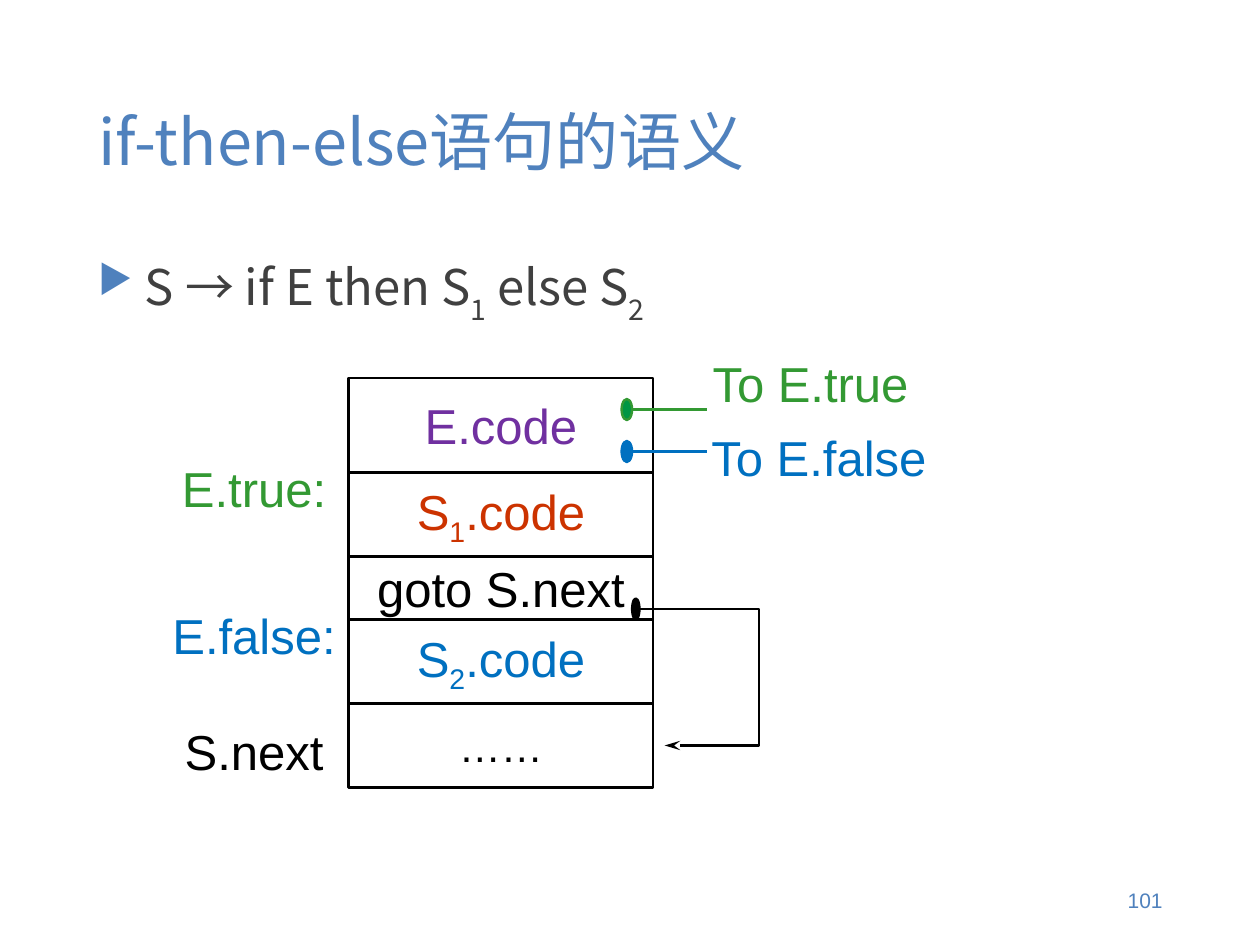
from dataclasses import dataclass

from lxml.etree import SubElement
from pptx import Presentation
from pptx.dml.color import RGBColor
from pptx.enum.shapes import MSO_CONNECTOR as Connector
from pptx.enum.shapes import MSO_SHAPE as Shape
from pptx.enum.text import MSO_ANCHOR as Anchor
from pptx.enum.text import MSO_AUTO_SIZE as AutoSize
from pptx.enum.text import PP_ALIGN as Align
from pptx.oxml.ns import qn
from pptx.util import Cm, Emu, Inches, Pt

SLIDE_WIDTH = Cm(28)
SLIDE_HEIGHT = Cm(21)
COLUMNS, ROWS = 120, 90

BLACK = RGBColor(0x00, 0x00, 0x00)
GREY = RGBColor(0x40, 0x40, 0x40)
ACCENT = RGBColor(0x4F, 0x81, 0xBD)
PURPLE = RGBColor(0x70, 0x30, 0xA0)
RED = RGBColor(0xCC, 0x33, 0x00)
BLUE = RGBColor(0x00, 0x70, 0xC0)
GREEN = RGBColor(0x33, 0x99, 0x33)
DARK_GREEN = RGBColor(0x00, 0x96, 0x44)

LATIN_FONT, CHINESE_FONT, BULLET_FONT = "Arial", "Noto Sans CJK SC", "OpenSymbol"
TEXT_SIZE = 30.9
LINE_WIDTH = Pt(1.5)

STACK_LEFT, STACK_TOP, STACK_WIDTH = 33.2, 36, 29
LABEL_WIDTH, LABEL_HEIGHT = 18, 7
LABEL_LEFT = STACK_LEFT - LABEL_WIDTH
DOT_HEIGHT = 2


@dataclass(frozen=True)
class Area:
    """A rectangle in grid columns and rows."""
    left: float
    top: float
    width: float
    height: float

    def lengths(self) -> tuple:
        return (column(self.left), row(self.top),
                column(self.width), row(self.height))


@dataclass(frozen=True)
class Words:
    """Text whose parts between underscores are subscripts."""
    text: str
    color: RGBColor
    size: float = TEXT_SIZE
    font: str = LATIN_FONT
    subscript: int = -25


@dataclass(frozen=True)
class CodeBlock:
    words: Words
    height: float


@dataclass(frozen=True)
class Label:
    words: Words
    left: float
    top: float


@dataclass(frozen=True)
class Jump:
    """A dot with a straight line leading out of the code stack."""
    top: float
    fill: RGBColor
    line: RGBColor


CODE_BLOCKS = (
    CodeBlock(Words("E.code", PURPLE), 9),
    CodeBlock(Words("S_1_.code", RED), 8),
    CodeBlock(Words("goto S.next", BLACK), 6),
    CodeBlock(Words("S_2_.code", BLUE), 8),
    CodeBlock(Words("……", BLACK, size=26.5), 8),
)
LABELS = (
    Label(Words("To E.true", GREEN), 68.2, 33),
    Label(Words("To E.false", BLUE), 69, 40),
    Label(Words("E.true:", GREEN), LABEL_LEFT, 43),
    Label(Words("E.false:", BLUE), LABEL_LEFT, 57),
    Label(Words("S.next", BLACK), LABEL_LEFT, 68),
)
JUMPS = (Jump(38, DARK_GREEN, GREEN), Jump(42, BLUE, BLUE))


def column(count: float) -> Emu:
    return Emu(round(SLIDE_WIDTH * count / COLUMNS))


def row(count: float) -> Emu:
    return Emu(round(SLIDE_HEIGHT * count / ROWS))


def add_words(paragraph, words: Words) -> None:
    for index, part in enumerate(words.text.split("_")):
        if not part:
            continue
        run = paragraph.add_run()
        run.text = part
        run.font.size = Pt(words.size)
        run.font.name = words.font
        run.font.color.rgb = words.color
        properties = run._r.get_or_add_rPr()
        SubElement(properties, qn("a:ea")).set("typeface", words.font)
        if index % 2:
            properties.set("baseline", str(words.subscript * 1000))


def write(shape, words: Words, align=Align.CENTER, anchor=Anchor.MIDDLE,
          wrap: bool = False) -> None:
    frame = shape.text_frame
    frame.auto_size = AutoSize.NONE
    frame.word_wrap = wrap
    frame.vertical_anchor = anchor
    frame.paragraphs[0].alignment = align
    add_words(frame.paragraphs[0], words)


def style_line(shape, color: RGBColor) -> None:
    shape.line.color.rgb = color
    shape.line.width = LINE_WIDTH


def place(shape, area: Area) -> None:
    shape.left, shape.top, shape.width, shape.height = area.lengths()


def add_bullet(paragraph) -> None:
    properties = paragraph._p.get_or_add_pPr()
    properties.set("marL", str(Inches(0.41)))
    properties.set("indent", str(-Inches(0.41)))
    color = SubElement(properties, qn("a:buClr"))
    SubElement(color, qn("a:srgbClr")).set("val", str(ACCENT))
    SubElement(properties, qn("a:buSzPct")).set("val", "80000")
    SubElement(properties, qn("a:buFont")).set("typeface", BULLET_FONT)
    SubElement(properties, qn("a:buChar")).set("char", "▶")
    paragraph.line_spacing = 0.9
    paragraph.space_before = Pt(0)


def add_outlined(shapes, kind, area: Area, line: RGBColor, fill=None):
    shape = shapes.add_shape(kind, *area.lengths())
    shape.shadow.inherit = False
    style_line(shape, line)
    if fill is None:
        shape.fill.background()
    else:
        shape.fill.solid()
        shape.fill.fore_color.rgb = fill
    return shape


def add_code_stack(shapes) -> None:
    top = STACK_TOP
    for block in CODE_BLOCKS:
        area = Area(STACK_LEFT, top, STACK_WIDTH, block.height)
        write(add_outlined(shapes, Shape.RECTANGLE, area, BLACK), block.words)
        top += block.height


def add_jump(shapes, jump: Jump) -> None:
    middle = row(jump.top + DOT_HEIGHT / 2)
    line = shapes.add_connector(Connector.STRAIGHT, column(60.2), middle,
                                column(67.3), middle)
    style_line(line, jump.line)
    SubElement(line._element.spPr, qn("a:effectLst"))
    add_outlined(shapes, Shape.OVAL, Area(59.2, jump.top, 1, DOT_HEIGHT),
                 jump.line, jump.fill)


def add_goto_arrow(shapes) -> None:
    start, *corners = [(column(x), row(y)) for x, y in
                       ((60.9, 58), (72.3, 58), (72.3, 71), (63.3, 71))]
    builder = shapes.build_freeform(*start)
    builder.add_line_segments(corners, close=False)
    arrow = builder.convert_to_shape()
    arrow.shadow.inherit = False
    arrow.fill.background()
    style_line(arrow, BLACK)
    head = SubElement(arrow.line._get_or_add_ln(), qn("a:tailEnd"))
    head.set("type", "stealth")
    head.set("len", "lg")
    add_outlined(shapes, Shape.OVAL, Area(60.2, 57, 0.7, DOT_HEIGHT), BLACK, BLACK)


def main() -> None:
    presentation = Presentation()
    presentation.slide_width = SLIDE_WIDTH
    presentation.slide_height = SLIDE_HEIGHT
    slide = presentation.slides.add_slide(presentation.slide_layouts[1])
    shapes = slide.shapes

    title, body = slide.placeholders
    place(title, Area(8.25, 4.7, 103.5, 17.4))
    write(title, Words("if-then-else语句的语义", ACCENT, 39.7, CHINESE_FONT),
          Align.LEFT, wrap=True)
    place(body, Area(8.25, 23.9, 103.5, 57.1))
    add_bullet(body.text_frame.paragraphs[0])
    write(body, Words("S → if E then S_1_ else S_2_", GREY, font=CHINESE_FONT,
                      subscript=-30), Align.LEFT, Anchor.TOP, wrap=True)

    add_code_stack(shapes)
    for jump in JUMPS:
        add_jump(shapes, jump)
    add_goto_arrow(shapes)
    for label in LABELS:
        area = Area(label.left, label.top, LABEL_WIDTH, LABEL_HEIGHT)
        write(shapes.add_textbox(*area.lengths()), label.words)
    page_number = shapes.add_textbox(*Area(84.8, 83.3, 27, 4.8).lengths())
    write(page_number, Words("101", ACCENT, 13.2), Align.RIGHT, wrap=True)

    presentation.save("out.pptx")


if __name__ == "__main__":
    main()
